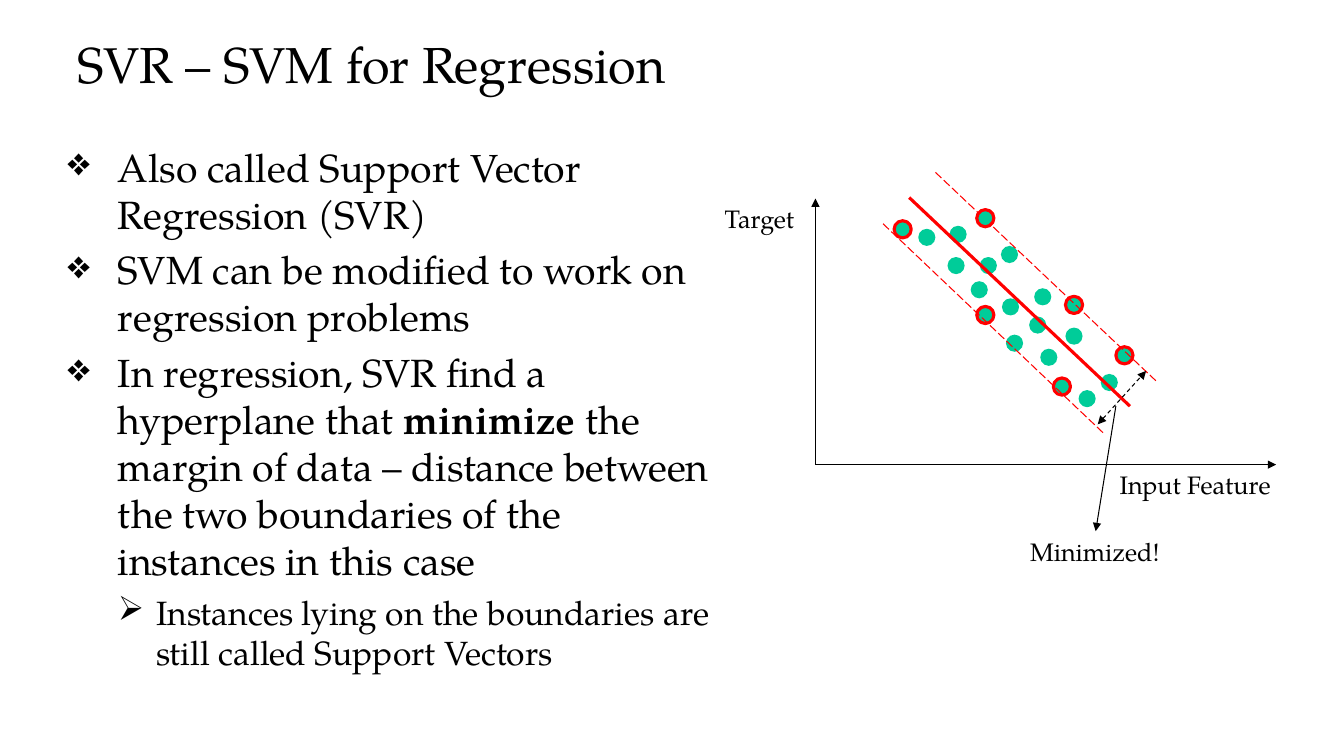
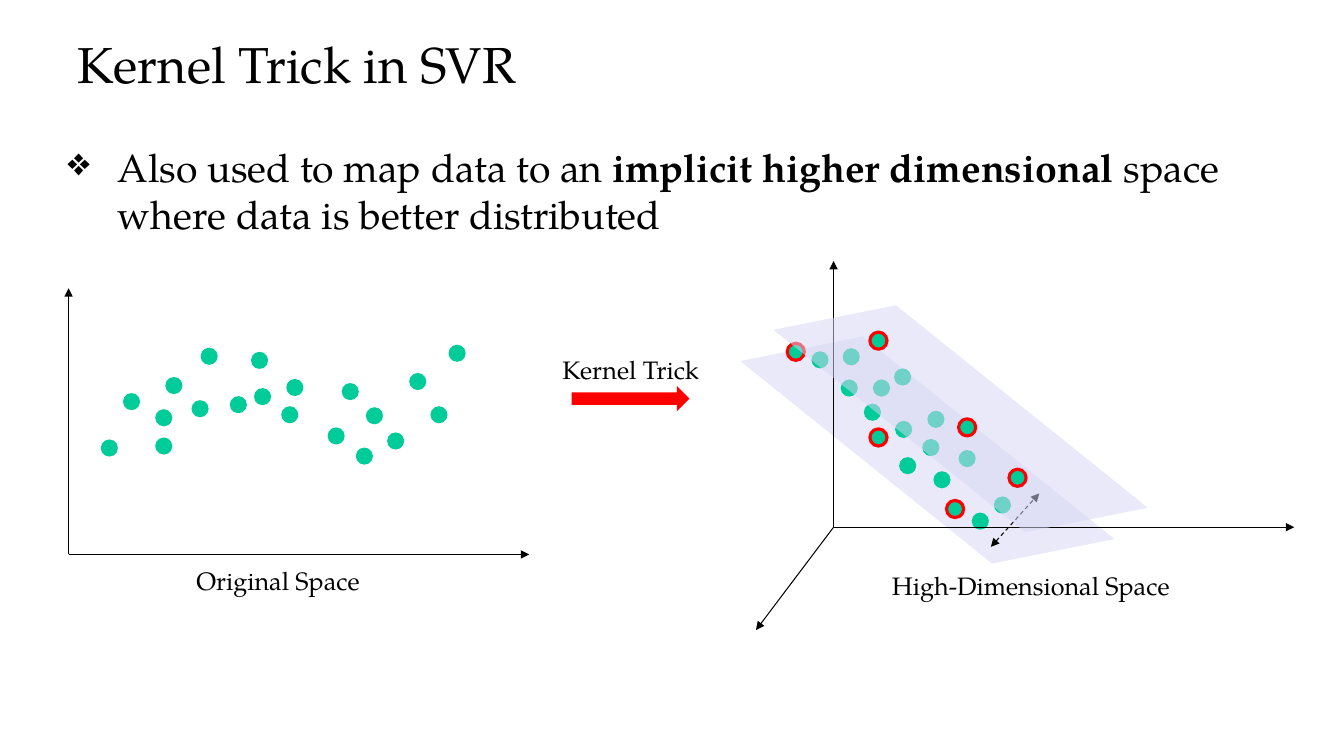
from lxml.etree import SubElement
from pptx import Presentation
from pptx.dml.color import RGBColor
from pptx.enum.dml import MSO_LINE_DASH_STYLE as Dash
from pptx.enum.shapes import MSO_CONNECTOR as Connector, MSO_SHAPE as Preset
from pptx.enum.text import MSO_ANCHOR as Anchor, MSO_AUTO_SIZE as AutoSize, PP_ALIGN as Align
from pptx.oxml.ns import qn
from pptx.util import Inches, Pt

COLORS = {"ink": "000000", "dot": "00CC99", "accent": "FF0000", "plane": "D6D6F5"}
FONT = "TeX Gyre Pagella"
CELL = Inches(0.1)
COLUMNS, ROWS = 133.33, 75
MARGIN, CONTENT_WIDTH = 6.7, 119.9
DOT = 1.7
BULLETS = (("❖", 28, 0.5, 0.5), ("➢", 24, 0.88, 0.38))

BAND_DOTS = [
    (91.1, 22.7), (94, 25.5), (109.2, 37.1), (94.2, 22.4), (97.2, 25.5),
    (102.1, 31.4), (96.3, 27.9), (99.4, 29.6), (102.6, 28.6), (99.8, 33.2),
    (103.2, 34.6), (99.3, 24.4), (105.7, 32.5), (107, 38.7),
]
LOWER_VECTORS = [(96.9, 30.4), (104.5, 37.5), (88.7, 21.9)]
UPPER_VECTORS = [(96.9, 20.8), (105.7, 29.4), (110.7, 34.4)]
MARGIN_ENDS = [(108.9, 42.1), (113.7, 36.8)]
SCATTER_DOTS = [
    (15.4, 43.4), (22.8, 39.3), (19.9, 34.5), (35.3, 44.4), (42.7, 40.3),
    (12.2, 39), (32.5, 42.4), (16.4, 37.4), (36.3, 40.4), (10, 43.6),
    (27.9, 40.3), (24.9, 34.9), (19, 39.7), (25.2, 38.5), (28.4, 37.6),
    (15.4, 40.6), (38.4, 42.9), (44.5, 34.2), (33.9, 38), (40.6, 37),
]


def grid(*cells):
    return [round(cell * CELL) for cell in cells]


def shifted(points, right, down):
    return [(left + right, top + down) for left, top in points]


def color(name):
    return RGBColor.from_string(COLORS[name])


class Lecture:
    """Holds the deck, its style and the slide being drawn."""

    def __init__(self):
        self.deck = Presentation()
        self.deck.slide_width, self.deck.slide_height = grid(COLUMNS, ROWS)
        self.page = None

    def start(self, title):
        self.page = self.deck.slides.add_slide(self.deck.slide_layouts[5])
        box = self.page.shapes.title
        box.left, box.top, box.width, box.height = grid(MARGIN, 2.2, CONTENT_WIDTH, 10)
        frame = box.text_frame
        frame.text = title
        frame.auto_size = AutoSize.NONE
        frame.vertical_anchor = Anchor.TOP
        frame.margin_left = frame.margin_right = frame.margin_top = Inches(0.1)
        frame.margin_bottom = Inches(0.05)
        para = frame.paragraphs[0]
        para.alignment = Align.LEFT
        para.line_spacing = 1.02
        self.format(para, 36)

    def format(self, para, size):
        para.font.name = FONT
        para.font.size = Pt(size)
        para.font.color.rgb = color("ink")

    def bullets(self, width, items):
        box = self.page.shapes.add_textbox(*grid(MARGIN, 14.2, width, 49.4))
        frame = box.text_frame
        frame.word_wrap = True
        frame.margin_left = frame.margin_right = frame.margin_top = frame.margin_bottom = 0
        for index, (level, text) in enumerate(items):
            para = frame.add_paragraph() if index else frame.paragraphs[0]
            para.level = level
            para.space_before = Pt(6)
            mark, size, indent, hanging = BULLETS[level]
            self.mark(para, mark, indent, hanging)
            self.format(para, size)
            for part, words in enumerate(text.split("**")):
                span = para.add_run()
                span.text = words
                if part % 2:
                    span.font.bold = True

    def mark(self, para, mark, indent, hanging):
        settings = para._p.get_or_add_pPr()
        settings.set("marL", str(Inches(indent)))
        settings.set("indent", str(-Inches(hanging)))
        tint = SubElement(settings, qn("a:buClr"))
        SubElement(tint, qn("a:srgbClr"), val=COLORS["ink"])
        SubElement(settings, qn("a:buChar"), char=mark)

    def label(self, left, top, width, text):
        box = self.page.shapes.add_textbox(*grid(left, top, width, 4))
        frame = box.text_frame
        frame.text = text
        frame.word_wrap = False
        frame.auto_size = AutoSize.SHAPE_TO_FIT_TEXT
        self.format(frame.paragraphs[0], 18)
        return box

    def shape(self, preset, left, top, width, height, fill, outline=None):
        shape = self.page.shapes.add_shape(preset, *grid(left, top, width, height))
        shape.shadow.inherit = False
        shape.fill.solid()
        shape.fill.fore_color.rgb = color(fill)
        if outline:
            shape.line.color.rgb = color(outline)
            shape.line.width = Pt(2.25)
        else:
            shape.line.fill.background()
        return shape

    def dots(self, points, outline=None):
        for left, top in points:
            self.shape(Preset.OVAL, left, top, DOT, DOT, "dot", outline)

    def plane(self, left, top):
        plane = self.shape(Preset.PARALLELOGRAM, left, top, 40, 9.5, "plane")
        plane.adjustments[0] = 0.836
        plane.rotation = 38.8
        tint = next(plane.element.spPr.iter(qn("a:srgbClr")))
        SubElement(tint, qn("a:alpha"), val="52000")

    def line(self, start, end, stroke="ink", weight=0.75, dash=None, heads=()):
        line = self.page.shapes.add_connector(Connector.STRAIGHT, *grid(*start, *end))
        line.line.color.rgb = color(stroke)
        line.line.width = Pt(weight)
        if dash:
            line.line.dash_style = dash
        properties = line.element.spPr
        for head in heads:
            SubElement(properties.find(qn("a:ln")), qn(f"a:{head}"), type="triangle")
        SubElement(properties, qn("a:effectLst"))
        return line

    def arrow(self, start, end):
        return self.line(start, end, heads=["tailEnd"])

    def axes(self, left, top):
        self.arrow((left, top), (left + 45.7, top))
        self.arrow((left, top), (left, top - 26.4))

    def margin(self, ends):
        self.line(*ends, dash=Dash.DASH, heads=["headEnd", "tailEnd"])


def draw_regression(lecture):
    lecture.start("SVR – SVM for Regression")
    lecture.bullets(64.8, [
        (0, "Also called Support Vector Regression (SVR)"),
        (0, "SVM can be modified to work on regression problems"),
        (0, "In regression, SVR find a hyperplane that **minimize** the margin of data – "
            "distance between the two boundaries of the instances in this case"),
        (1, "Instances lying on the boundaries are still called Support Vectors"),
    ])
    lecture.dots(BAND_DOTS)
    lecture.dots(LOWER_VECTORS + UPPER_VECTORS[1:], "accent")
    lecture.line((90.2, 19.6), (112.1, 40.3), "accent", 2.25)
    lecture.axes(80.9, 46.1)
    for start, end in [((87.6, 22.2), (109.5, 43)), ((92.8, 17.1), (114.8, 37.9))]:
        lecture.line(start, end, "accent", dash=Dash.LONG_DASH)
    lecture.margin(MARGIN_ENDS)
    lecture.dots(UPPER_VECTORS[:1], "accent")
    minimized = lecture.label(101.2, 52.7, 15, "Minimized!")
    lecture.arrow((110.7, 40.3), (108.7, 52.7)).end_connect(minimized, 0)
    lecture.label(110.1, 46.1, 17.3, "Input Feature")
    lecture.label(70.9, 19.7, 9.1, "Target")


def draw_kernel_trick(lecture):
    offset = (-10.6, 12.15)
    origin = (82.7, 52.3)
    lecture.start("Kernel Trick in SVR")
    lecture.bullets(CONTENT_WIDTH, [
        (0, "Also used to map data to an **implicit higher dimensional **space "
            "where data is better distributed"),
    ])
    lecture.plane(72, 39.9)
    lecture.dots(shifted(BAND_DOTS, *offset))
    lecture.dots(shifted(LOWER_VECTORS, *offset), "accent")
    lecture.axes(*origin)
    lecture.arrow(origin, (75, 62.5))
    lecture.margin(shifted(MARGIN_ENDS, *offset))
    lecture.plane(75.3, 36.8)
    lecture.dots(shifted(UPPER_VECTORS, *offset), "accent")
    lecture.dots(SCATTER_DOTS)
    lecture.axes(6.8, 55)
    lecture.label(18.5, 55.6, 18.4, "Original Space")
    lecture.label(87.5, 56.1, 30.5, "High-Dimensional Space")
    lecture.shape(Preset.RIGHT_ARROW, 56.7, 38.3, 11.7, 2.5, "accent")
    lecture.label(54.8, 34.7, 15.7, "Kernel Trick")


def main():
    lecture = Lecture()
    draw_regression(lecture)
    draw_kernel_trick(lecture)
    lecture.deck.save("out.pptx")


if __name__ == "__main__":
    main()
